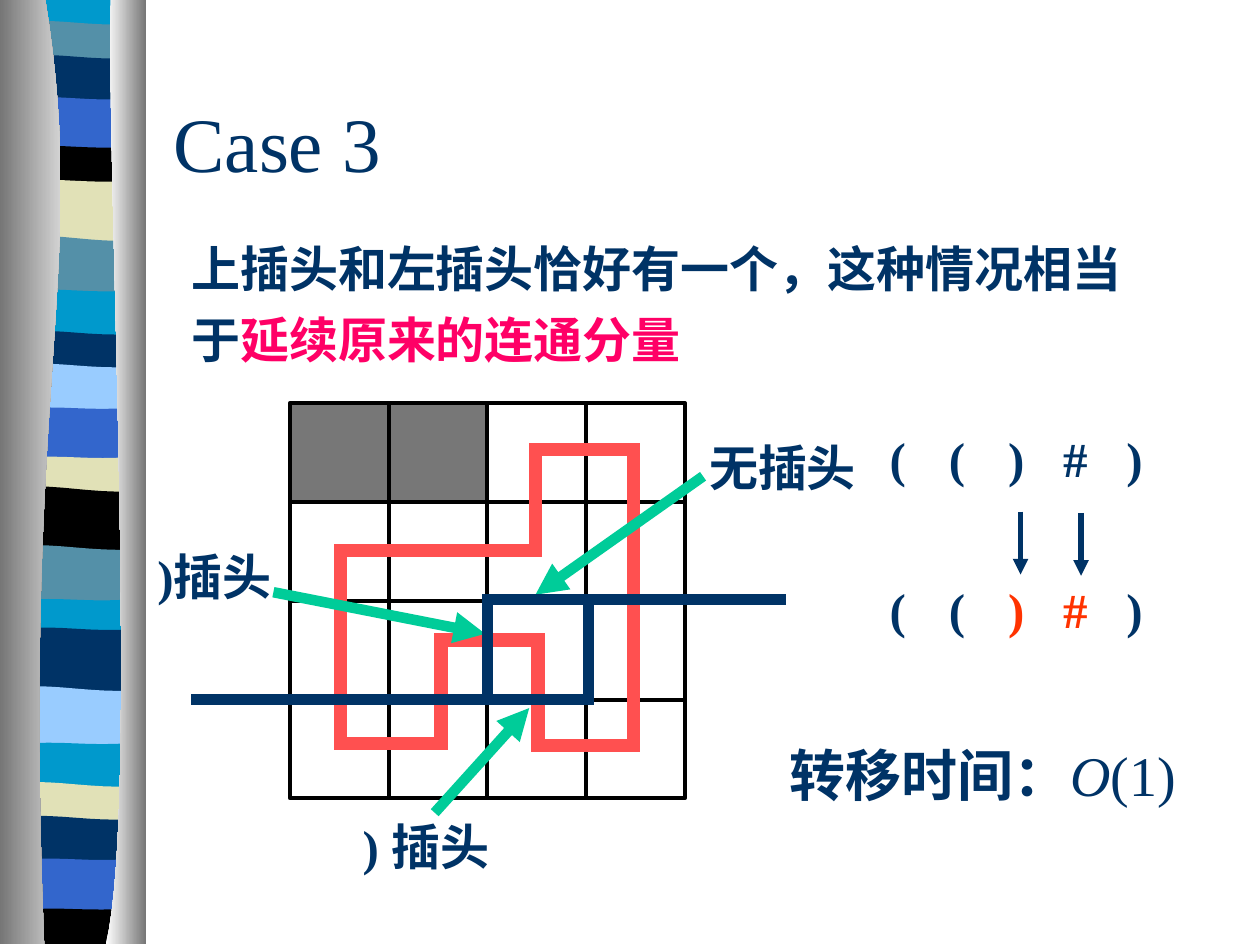
from math import pi, sin
from lxml.etree import SubElement
from pptx import Presentation
from pptx.dml.color import RGBColor
from pptx.enum.shapes import MSO_CONNECTOR, MSO_SHAPE
from pptx.enum.text import MSO_ANCHOR, PP_ALIGN
from pptx.oxml.ns import qn
from pptx.util import Inches, Pt

# Content
NAVY, PINK, GREEN, RED = "003366", "FF5050", "00CC99", "FF3300"
CYAN, TEAL, BLUE, SKY = "0099CC", "5490A8", "3366CC", "99CCFF"
SAND, BLACK, GREY, WHITE = "E1E1B7", "000000", "767676", "FFFFFF"
SERIF, HAN = "Times New Roman", "Noto Sans CJK SC"

# Ribbon bands: colour, top at the left side, top at the right side
BANDS = [
    (CYAN, 0, 0), (TEAL, .17, .19), (NAVY, .44, .46), (BLUE, .78, .78),
    (BLACK, 1.17, 1.16), (SAND, 1.44, 1.43), (TEAL, 1.87, 1.91),
    (CYAN, 2.31, 2.3), (NAVY, 2.63, 2.65), (SKY, 2.89, 2.91),
    (BLUE, 3.25, 3.23), (SAND, 3.64, 3.62), (BLACK, 3.86, 3.9),
    (TEAL, 4.33, 4.36), (CYAN, 4.77, 4.75), (NAVY, 4.99, 4.99),
    (SKY, 5.45, 5.48), (CYAN, 5.91, 5.89), (SAND, 6.21, 6.24),
    (NAVY, 6.48, 6.5), (BLUE, 6.83, 6.81), (BLACK, 7.23, 7.2)]
NEAR, FAR, FOOT = .06, 1.14, 7.49

# Rails: outer x, Bezier points of the inner edge, gradient colours
RAILS = [
    (0, [(.36, 0), (.71, 2.16), (.17, 2.96), (.35, FOOT)], (GREY, "D3D3D3")),
    (1.16, [(.88, 0), (.84, 1.25), (1.11, 6.46), (.84, FOOT)], (WHITE, GREY))]

# Board and the paths on it
LEFT, TOP, CELL, SIDE = 2.3, 3.2, .784, 4
BLOCKED = {(0, 0), (0, 1)}
LOOP = [(2.7, 4.37), (4.25, 4.37), (4.25, 3.57), (5.03, 3.57), (5.03, 5.92),
        (4.27, 5.92), (4.27, 5.08), (3.5, 5.08), (3.5, 5.9), (2.7, 5.9),
        (2.7, 4.37)]
FRONT = [[(1.56, 5.55), (4.67, 5.55), (4.67, 4.76)],
         [(3.87, 5.55), (3.87, 4.76), (6.2, 4.76)]]
ARROWS = [
    ((5.58, 3.78), (4.25, 4.72), GREEN, 6), ((2.17, 4.7), (3.85, 5.03), GREEN, 6),
    ((3.45, 6.45), (4.2, 5.62), GREEN, 6),
    ((8.1, 4.06), (8.1, 4.56), NAVY, 3), ((8.58, 4.07), (8.58, 4.57), NAVY, 3)]

LABELS = [
    (2.78, 6.43, 1.48, ") 插头"), (1.15, 4.29, 1.42, ")插头"),
    (5.53, 3.42, 1.42, "无插头")]
STATES = [(3.4, set()), (4.6, {2, 3})]  # row top, changed plugs
PLUGS = "(()#)"

deck = Presentation()
deck.slide_width, deck.slide_height = Inches(10), Inches(7.5)
slide = deck.slides.add_slide(deck.slide_layouts[6])
shapes = slide.shapes


def rgb(code):
    return RGBColor.from_string(code)


def text(x, y, w, h, runs, size=28, bold=True, align=PP_ALIGN.LEFT,
         anchor=MSO_ANCHOR.TOP, before=0, space=None, wrap=True, color=NAVY):
    """Runs are a string or a list of (words, format) pairs."""
    frame = shapes.add_textbox(*map(Inches, (x, y, w, h))).text_frame
    frame.word_wrap, frame.vertical_anchor = wrap, anchor
    para = frame.paragraphs[0]
    para.alignment, para.space_before = align, Pt(before)
    if space:
        para.line_spacing = space
    for words, look in [(runs, {})] if isinstance(runs, str) else runs:
        run = para.add_run()
        run.text = words
        font = run.font
        font.name, font.size = look.get("font", SERIF), Pt(size)
        font.bold = look.get("bold", bold)
        font.italic = look.get("italic", False)
        font.color.rgb = rgb(look.get("color", color))
        SubElement(run._r.get_or_add_rPr(), qn("a:ea"), typeface=HAN)


def line(start, end, color, width, arrow=False):
    link = shapes.add_connector(MSO_CONNECTOR.STRAIGHT,
                                *map(Inches, (*start, *end)))
    link.line.color.rgb, link.line.width = rgb(color), Pt(width)
    props = link._element.spPr
    edge = props.find(qn("a:ln"))
    if arrow:
        SubElement(edge, qn("a:tailEnd"), type="triangle")
    else:
        edge.set("cap", "sq")
    SubElement(props, qn("a:effectLst"))


def trace(points, color, width):
    for start, end in zip(points, points[1:]):
        line(start, end, color, width)


def outline(points):
    first, *rest = [(Inches(x), Inches(y)) for x, y in points]
    pen = shapes.build_freeform(*first)
    pen.add_line_segments(rest)
    form = pen.convert_to_shape()
    form.shadow.inherit = False
    form.line.fill.background()
    return form


def curve(a, b, c, d, steps=30):
    def at(t, i):
        u = 1 - t
        return (u**3 * a[i] + 3 * u * u * t * b[i]
                + 3 * u * t * t * c[i] + t**3 * d[i])
    return [(at(n / steps, 0), at(n / steps, 1)) for n in range(steps + 1)]


# Ribbon: each band runs under the next one
for n, (color, a, b) in enumerate(BANDS):
    low = BANDS[n + 1][1] + .06 if 0 < n < len(BANDS) - 1 else FOOT
    bend = .01 if n else 0
    wave = [(NEAR + (FAR - NEAR) * t / 10,
             a + (b - a) * t / 10 - bend * sin(pi * t / 5)) for t in range(11)]
    band = outline(wave + [(FAR, low), (NEAR, low)])
    band.fill.solid()
    band.fill.fore_color.rgb = rgb(color)

# Rails
for side, bend, tones in RAILS:
    rail = outline(curve(*bend) + [(side, FOOT), (side, 0)])
    rail.fill.gradient()
    rail.fill.gradient_angle = 0
    for stop, tone in zip(rail.fill.gradient_stops, tones):
        stop.color.rgb = rgb(tone)

# Heading and statement
text(1.28, .5, 8.5, 1.25, "Case 3", size=44, bold=False,
     anchor=MSO_ANCHOR.MIDDLE)
text(1.42, 1.75, 7.92, 1.22,
     [("上插头和左插头恰好有一个，这种情况相当于", {"font": HAN}),
      ("延续原来的连通分量", {"font": HAN, "color": "FF0066"})],
     before=17.5, space=1.2)

# Board
for row in range(SIDE):
    for col in range(SIDE):
        cell = shapes.add_shape(MSO_SHAPE.RECTANGLE, *map(Inches, (
            LEFT + col * CELL, TOP + row * CELL, CELL, CELL)))
        cell.shadow.inherit = False
        cell.line.color.rgb, cell.line.width = rgb(BLACK), Pt(2.24)
        if (row, col) in BLOCKED:
            cell.fill.solid()
            cell.fill.fore_color.rgb = rgb("777777")
        else:
            cell.fill.background()

# Paths, arrows and labels
trace(LOOP, PINK, 7.5)
for start, end, color, width in ARROWS:
    line(start, end, color, width, arrow=True)
for x, y, w, words in LABELS:
    text(x, y, w, .57, words, before=17.5)
for part in FRONT:
    trace(part, NAVY, 6)

# Plug states
for y, fresh in STATES:
    for n, plug in enumerate(PLUGS):
        text(6.89 + n * .47, y, .47, .47, plug, align=PP_ALIGN.CENTER,
             anchor=MSO_ANCHOR.MIDDLE, wrap=False,
             color=RED if n in fresh else NAVY)

# Cost
text(6.17, 5.83, 3.75, .64,
     [("转移时间：", {"font": HAN}), ("O", {"bold": False, "italic": True}),
      ("(1)", {"bold": False})], size=32, before=20)

deck.save("out.pptx")
